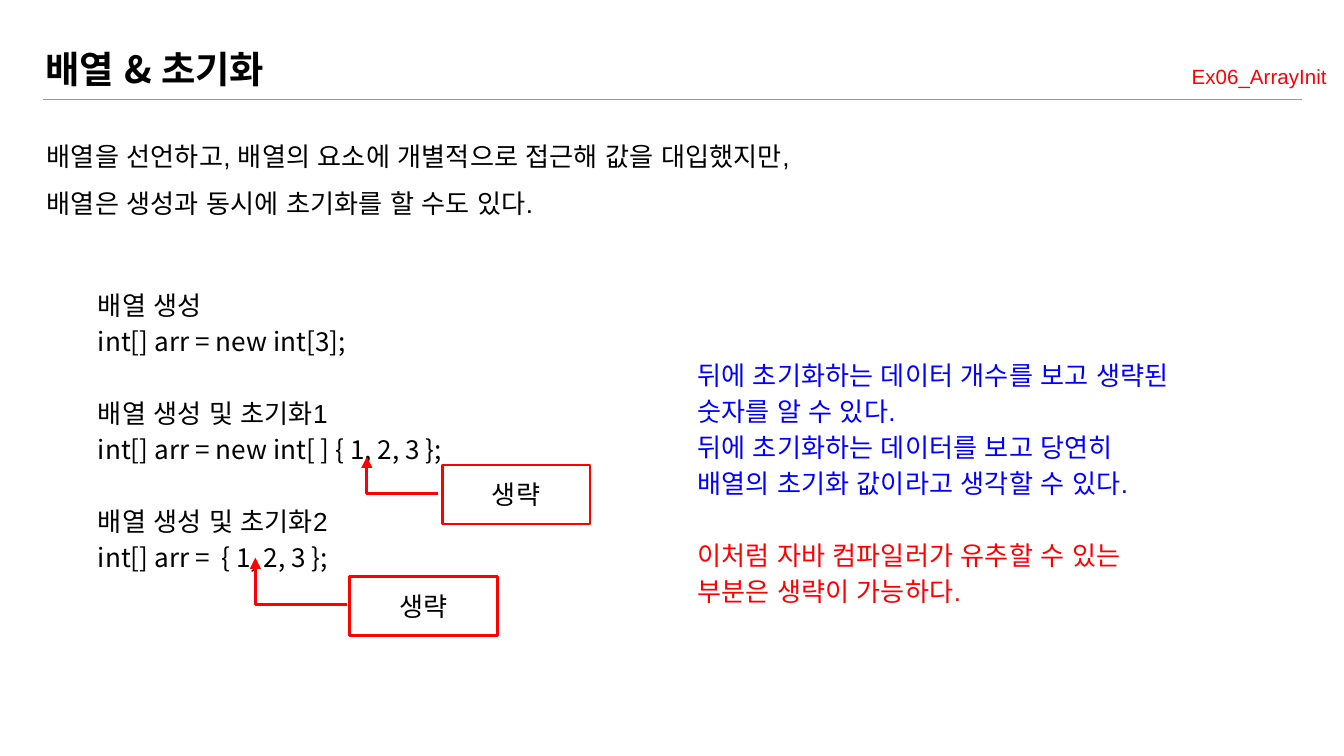
import pptx
import pptx.dml.color
import pptx.enum.shapes
import pptx.enum.text
import pptx.oxml
import pptx.oxml.ns
import pptx.util
from pptx.util import Inches

BLACK = pptx.dml.color.RGBColor(0x00, 0x00, 0x00)
GRAY = pptx.dml.color.RGBColor(0x99, 0x99, 0x99)
RED = pptx.dml.color.RGBColor(0xFF, 0x00, 0x00)
BLUE = pptx.dml.color.RGBColor(0x00, 0x00, 0xFF)
SANS = "Arial"
KOREAN = "Noto Sans CJK KR"
BLANK_LINE = pptx.util.Pt(19.3)
MIDDLE = pptx.enum.text.MSO_ANCHOR.MIDDLE
ALIGN = pptx.enum.text.PP_ALIGN
CONNECTOR = pptx.enum.shapes.MSO_CONNECTOR


def add_element(parent, tag, **attributes):
    child = pptx.oxml.parse_xml(f"<{tag} {pptx.oxml.ns.nsdecls('a')}/>")
    for name, value in attributes.items():
        child.set(name, value)
    parent.append(child)


def prepare_frame(shape, anchor):
    tf = shape.text_frame
    tf.word_wrap = True
    tf.vertical_anchor = anchor
    tf.margin_left = tf.margin_right = Inches(0.1)
    tf.margin_top = tf.margin_bottom = Inches(0.1)
    return tf


def add_run(p, text, size=14, font=SANS, color=BLACK, bold=False):
    r = p.add_run()
    r.text = text
    r.font.size = pptx.util.Pt(size)
    r.font.name = font
    r.font.color.rgb = color
    r.font.bold = bold
    add_element(r.font._element, "a:ea", typeface=SANS)


def add_text(s, box, lines, spacing=1.15, align=ALIGN.LEFT,
             anchor=pptx.enum.text.MSO_ANCHOR.TOP):
    """Each line is (text, run style, starts a new group)."""
    tf = prepare_frame(s.shapes.add_textbox(*map(Inches, box)), anchor)
    for i, (text, style, new_group) in enumerate(lines):
        p = tf.add_paragraph() if i else tf.paragraphs[0]
        p.line_spacing = spacing
        p.alignment = align
        if new_group:
            p.space_before = BLANK_LINE
        add_run(p, text, **style)


def add_line(s, kind, start, end, color, width):
    line = s.shapes.add_connector(kind, *map(Inches, start + end))
    line.line.color.rgb = color
    line.line.width = pptx.util.Pt(width)
    add_element(line._element.spPr, "a:effectLst")
    return line


def add_omission(s, left, top, start, end):
    """Red label box with an elbow arrow to the code it explains."""
    sp = s.shapes.add_shape(pptx.enum.shapes.MSO_SHAPE.RECTANGLE,
                            Inches(left), Inches(top), Inches(1.1), Inches(0.44))
    sp.shadow.inherit = False
    sp.fill.background()
    sp.line.color.rgb = RED
    sp.line.width = pptx.util.Pt(1.5)
    p = prepare_frame(sp, MIDDLE).paragraphs[0]
    p.alignment = ALIGN.CENTER
    add_run(p, "생략")

    arrow = add_line(s, CONNECTOR.ELBOW, start, end, RED, 1.5)
    add_element(arrow.line._get_or_add_ln(), "a:tailEnd", type="triangle")
    guides = arrow._element.spPr.prstGeom.get_or_add_avLst()
    add_element(guides, "a:gd", name="adj1", fmla="val 100000")


def main():
    prs = pptx.Presentation()
    prs.slide_width = Inches(10)
    prs.slide_height = prs.slide_width * 9 // 16
    s = prs.slides.add_slide(prs.slide_layouts[6])

    title_style = {"size": 20, "font": KOREAN, "bold": True}
    add_text(s, (0.24, 0.24, 8.22, 0.54), [("배열 & 초기화", title_style, False)],
             spacing=1.0, anchor=MIDDLE)
    add_line(s, CONNECTOR.STRAIGHT, (0.32, 0.74), (9.69, 0.74), GRAY, 0.75)
    add_text(s, (0.25, 0.83, 8.36, 0.79), [
        ("배열을 선언하고, 배열의 요소에 개별적으로 접근해 값을 대입했지만,", {}, False),
        ("배열은 생성과 동시에 초기화를 할 수도 있다.", {}, False),
    ], spacing=1.5)

    code = {"font": KOREAN}
    add_text(s, (0.63, 2.02, 3.95, 2.33), [
        ("배열 생성", {}, False),
        ("int[] arr = new int[3];", code, False),
        ("배열 생성 및 초기화1", {}, True),
        ("int[] arr = new int[ ] { 1, 2, 3 };", code, False),
        ("배열 생성 및 초기화2", {}, True),
        ("int[] arr =  { 1, 2, 3 };", code, False),
    ])
    add_omission(s, 3.29, 3.46, (3.26, 3.67), (2.73, 3.4))
    add_omission(s, 2.6, 4.29, (2.58, 4.5), (1.9, 4.15))

    add_text(s, (5.09, 2.54, 3.83, 2.06), [
        ("뒤에 초기화하는 데이터 개수를 보고 생략된 숫자를 알 수 있다.",
         {"color": BLUE}, False),
        ("뒤에 초기화하는 데이터를 보고 당연히 배열의 초기화 값이라고 생각할 수 있다.",
         {"color": BLUE}, False),
        ("이처럼 자바 컴파일러가 유추할 수 있는 부분은 생략이 가능하다.",
         {"color": RED}, True),
    ])
    add_text(s, (6.69, 0.35, 3.28, 0.39),
             [("Ex06_ArrayInit", {"size": 11, "color": RED}, False)],
             align=ALIGN.RIGHT)
    prs.save("out.pptx")


if __name__ == "__main__":
    main()
